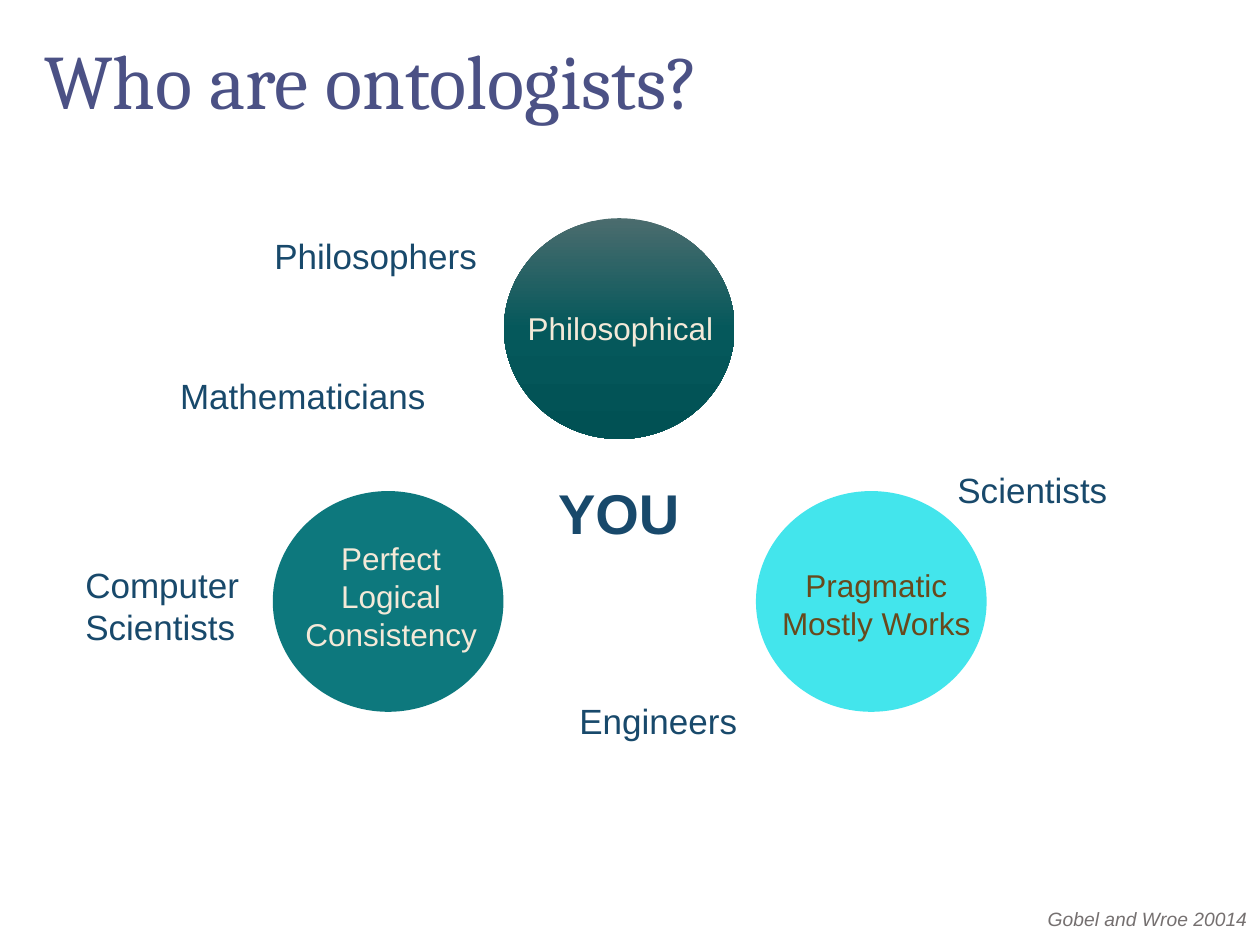
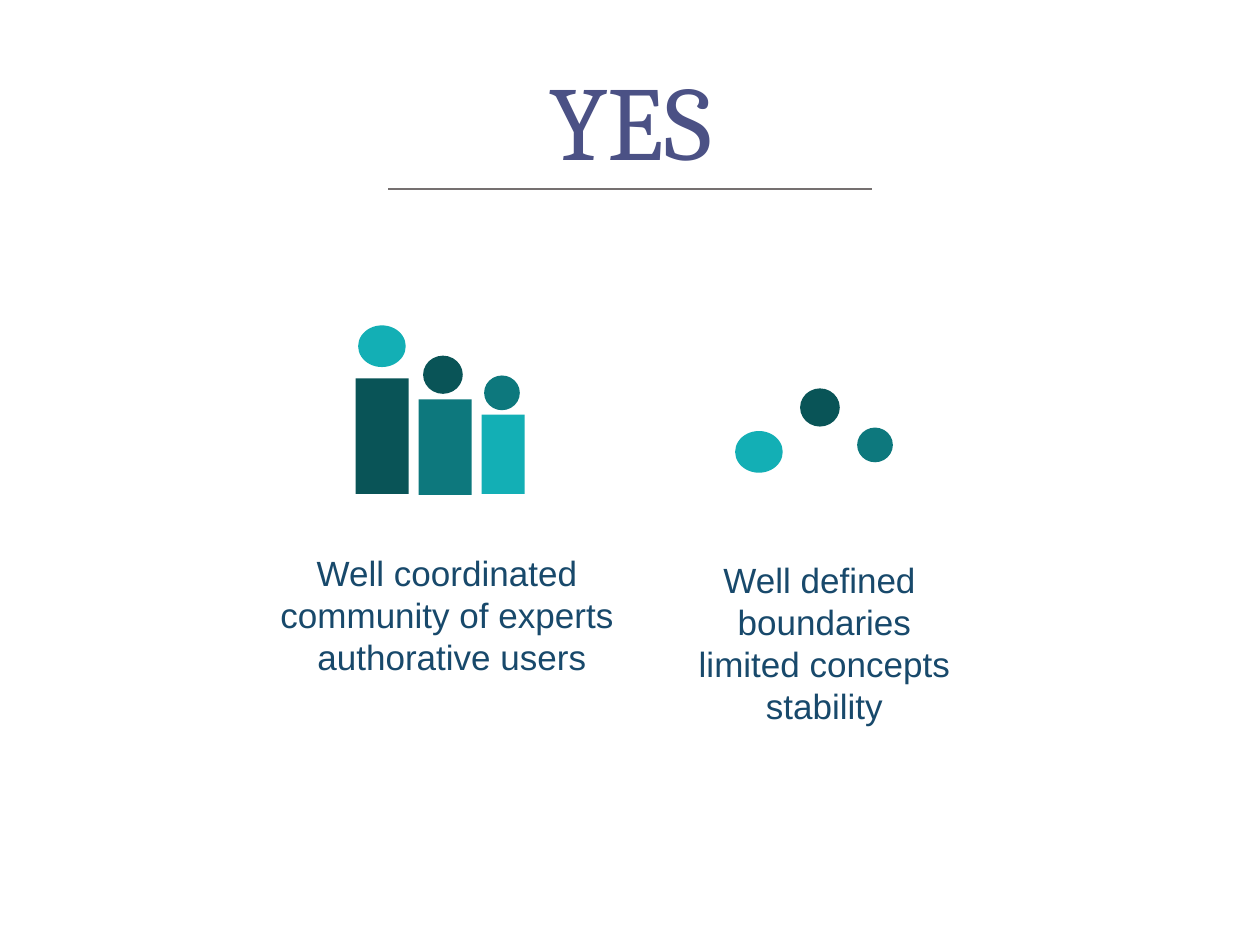
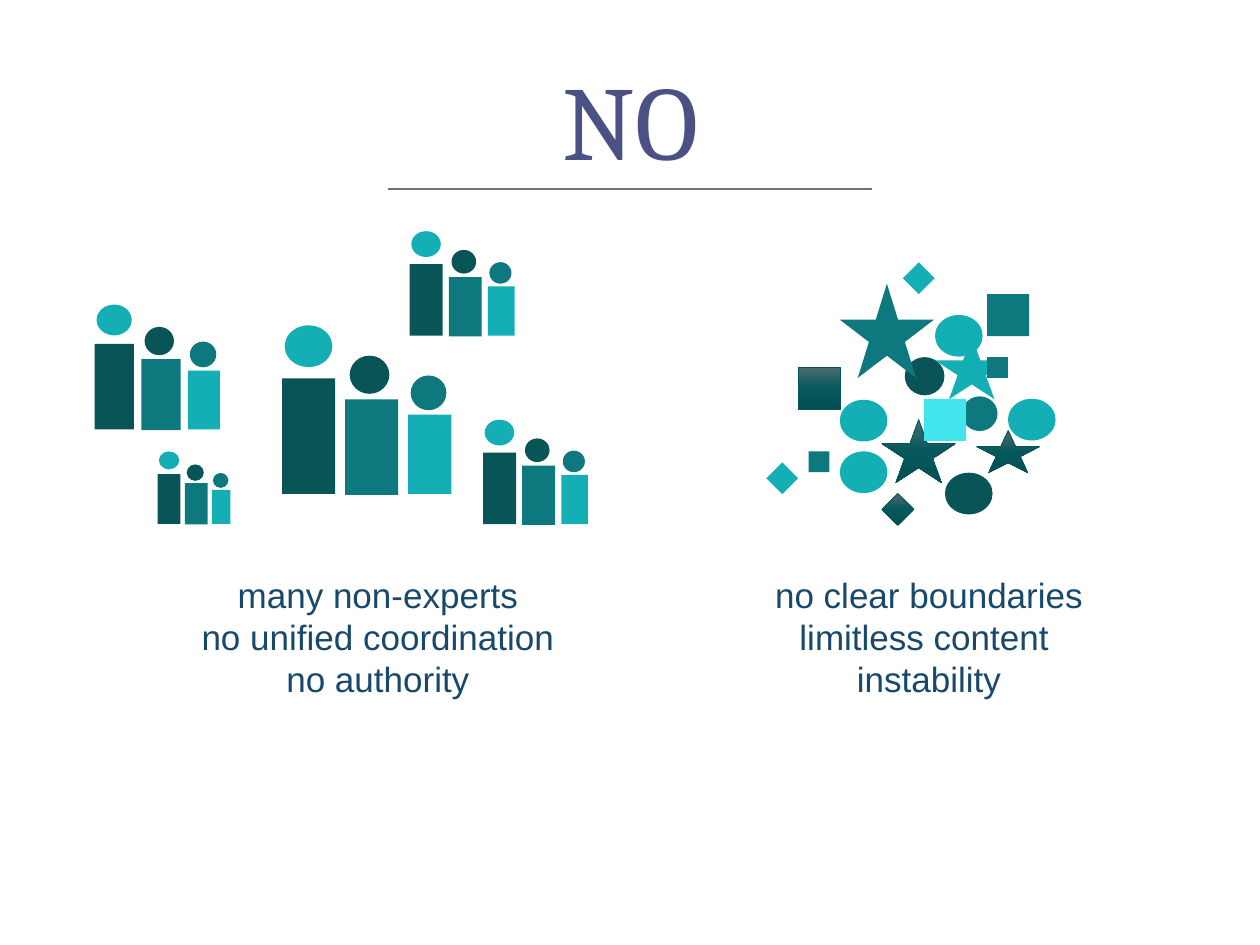
import copy

import pptx
import pptx.dml.color
import pptx.enum.shapes
import pptx.enum.text
import pptx.oxml.ns
import pptx.util
from lxml import etree
from pptx.util import Cm

SHAPE = pptx.enum.shapes.MSO_SHAPE
ALIGN = pptx.enum.text.PP_ALIGN
qn = pptx.oxml.ns.qn

INDIGO, NAVY, GREY = "4B5185", "18496B", "757070"
DARK, TEAL, LIGHT, CYAN = "095457", "0D787D", "13AFB5", "43E5EC"
CREAM, BROWN = "F4E9D8", "68491C"
DEEP_GRADIENT = [(0, "4B6C6E"), (0.5, "05585B"), (1, "015154")]

OVAL, BLOCK, STAR, DIAMOND = SHAPE.OVAL, SHAPE.RECTANGLE, SHAPE.STAR_5_POINT, SHAPE.DIAMOND

APPROACHES = [
    (OVAL, 10.16, 4.4, 4.65, 4.45, DEEP_GRADIENT),
    (OVAL, 5.5, 9.9, 4.65, 4.45, TEAL),
    (OVAL, 15.24, 9.9, 4.65, 4.45, CYAN),
]
APPROACH_NAMES = [
    ("Philosophical", 10.36, 6.1, 4.3, 1.02, CREAM),
    ("Perfect Logical Consistency", 5.66, 10.74, 4.45, 2.57, CREAM),
    ("Pragmatic Mostly Works", 15.44, 11.28, 4.45, 1.8, BROWN),
]
PROFESSIONS = [
    ("Philosophers", 5.28, 4.6, 4.65, 1.12),
    ("Scientists", 19.05, 9.32, 3.6, 1.12),
    ("Engineers", 11.43, 13.97, 3.75, 1.12),
    ("Computer Scientists", 1.47, 11.23, 4.24, 1.96),
    ("Mathematicians", 3.38, 7.42, 6.15, 1.12),
]

TEAM = [
    (BLOCK, 0, 1.07, 1.07, 2.33, DARK),
    (BLOCK, 1.27, 1.49, 1.07, 1.93, TEAL),
    (BLOCK, 2.54, 1.8, 0.87, 1.6, LIGHT),
    (OVAL, 0.05, 0, 0.96, 0.84, LIGHT),
    (OVAL, 1.36, 0.61, 0.8, 0.77, DARK),
    (OVAL, 2.59, 1.01, 0.72, 0.7, TEAL),
]
CONCEPTS = [
    (OVAL, 0, 0.86, 0.96, 0.84, LIGHT),
    (OVAL, 1.31, 0, 0.8, 0.77, DARK),
    (OVAL, 2.46, 0.79, 0.72, 0.7, TEAL),
]
CLUTTER = [
    (STAR, 17.78, 8.46, 1.48, 1.27, DEEP_GRADIENT),
    (STAR, 18.85, 6.78, 1.48, 1.27, LIGHT),
    (STAR, 19.69, 8.68, 1.27, 0.85, DEEP_GRADIENT),
    (STAR, 16.93, 5.72, 1.9, 1.9, TEAL),
    (OVAL, 16.93, 9.1, 0.96, 0.84, LIGHT),
    (OVAL, 18.85, 6.35, 0.96, 0.84, LIGHT),
    (OVAL, 19.05, 9.53, 0.96, 0.84, DARK),
    (BLOCK, 16.09, 7.41, 0.85, 0.85, DEEP_GRADIENT),
    (OVAL, 20.32, 8.04, 0.96, 0.84, LIGHT),
    (BLOCK, 18.63, 8.04, 0.85, 0.85, CYAN),
    (BLOCK, 19.9, 5.93, 0.85, 0.85, TEAL),
    (BLOCK, 16.3, 9.1, 0.42, 0.42, TEAL),
    (DIAMOND, 17.78, 9.95, 0.64, 0.64, DEEP_GRADIENT),
    (BLOCK, 19.9, 7.2, 0.42, 0.42, TEAL),
    (DIAMOND, 18.2, 5.29, 0.64, 0.64, LIGHT),
    (DIAMOND, 15.45, 9.32, 0.64, 0.64, LIGHT),
]

VERDICTS = [
    {
        "title": "YES",
        "teams": [(7.17, 6.56, 1)],
        "concepts": (14.82, 7.83),
        "clutter": [],
        "captions": [
            (["Well coordinated ", "community of experts ", "authorative users"],
             4.45, 11, 9.32, 2.82),
            (["Well defined ", "boundaries", "limited concepts", "stability"],
             12.49, 11.13, 8.26, 4.52),
        ],
    },
    {
        "title": "NO",
        "teams": [(5.69, 6.56, 1), (1.91, 6.14, 0.74), (3.18, 9.1, 0.43),
                  (8.26, 4.66, 0.62), (9.74, 8.46, 0.62)],
        "concepts": (16.93, 7.2),
        "clutter": CLUTTER,
        "captions": [
            (["many non-experts", "no unified coordination", "no authority"],
             2.96, 11.43, 9.32, 3.68),
            (["no clear boundaries", "limitless content ", "instability"],
             14.6, 11.43, 8.26, 3.68),
        ],
    },
]


def rgb(value):
    return pptx.dml.color.RGBColor.from_string(value)


def place(part, left, top, width, height):
    part.left, part.top, part.width, part.height = Cm(left), Cm(top), Cm(width), Cm(height)


def write(frame, lines, size, color, font="Arial", align=ALIGN.LEFT,
          spacing=1, bold=False, italic=False):
    frame.word_wrap = True
    frame.auto_size = pptx.enum.text.MSO_AUTO_SIZE.NONE
    for index, line in enumerate(lines):
        paragraph = frame.add_paragraph() if index else frame.paragraphs[0]
        paragraph.alignment = align
        paragraph.line_spacing = spacing
        paragraph.space_before = pptx.util.Pt(0)
        run = paragraph.add_run()
        run.text = line
        run.font.name, run.font.size = font, pptx.util.Pt(size)
        run.font.bold, run.font.italic = bold, italic
        run.font.color.rgb = rgb(color)


def add_label(slide, lines, left, top, width, height, size, color, **style):
    label = slide.shapes.add_textbox(Cm(left), Cm(top), Cm(width), Cm(height))
    write(label.text_frame, lines, size, color, **style)


def set_title(slide, text, top, size, align):
    title = slide.shapes.title
    place(title, 0.64, top, 24.14, 2.54)
    title.text_frame.vertical_anchor = pptx.enum.text.MSO_ANCHOR.MIDDLE
    write(title.text_frame, [text], size, INDIGO, "Cambria", align, 0.9)


def fill_gradient(fill, shape, stops):
    fill.gradient()
    fill.gradient_angle = 270
    stop_list = shape._element.spPr.find(qn("a:gradFill")).find(qn("a:gsLst"))
    stop_list.append(copy.deepcopy(stop_list[0]))
    for stop, (position, color) in zip(fill.gradient_stops, stops):
        stop.color.rgb = rgb(color)
        stop.position = position


def draw(shapes, parts, left=0, top=0, scale=1):
    for kind, x, y, width, height, color in parts:
        shape = shapes.add_shape(kind, Cm(left + x * scale), Cm(top + y * scale),
                                 Cm(width * scale), Cm(height * scale))
        shape.shadow.inherit = False
        shape.line.fill.background()
        if color is DEEP_GRADIENT:
            fill_gradient(shape.fill, shape, color)
            if kind is not OVAL:
                shape.line.color.rgb = rgb(DARK)
                shape.line.width = pptx.util.Pt(0.5)
        else:
            shape.fill.solid()
            shape.fill.fore_color.rgb = rgb(color)


def add_title_rule(slide):
    rule = slide.shapes.add_connector(pptx.enum.shapes.MSO_CONNECTOR.STRAIGHT,
                                      Cm(7.83), Cm(3.81), Cm(17.57), Cm(3.81))
    rule.line.color.rgb = rgb(GREY)
    rule.line.width = pptx.util.Pt(1)
    etree.SubElement(rule._element.spPr, qn("a:effectLst"))


def add_credit(slide, text):
    credit = slide.placeholders[1]
    place(credit, 20.52, 18.21, 4.88, 0.84)
    properties = credit.text_frame.paragraphs[0]._p.get_or_add_pPr()
    properties.set("marL", "0")
    properties.set("indent", "0")
    etree.SubElement(properties, qn("a:buNone"))
    write(credit.text_frame, [text], 11, GREY, align=ALIGN.RIGHT, spacing=0.9, italic=True)


def build_ontologists(deck):
    slide = deck.slides.add_slide(deck.slide_layouts[1])
    set_title(slide, "Who are ontologists?", 0.43, 44, ALIGN.LEFT)
    add_credit(slide, "Gobel and Wroe 20014")
    draw(slide.shapes, APPROACHES)
    for name, left, top, width, height, color in APPROACH_NAMES:
        add_label(slide, [name], left, top, width, height, 18, color, align=ALIGN.CENTER)
    add_label(slide, ["YOU"], 11, 9.53, 3.02, 1.63, 32, NAVY, bold=True)
    for name, *box in PROFESSIONS:
        add_label(slide, [name], *box, 20, NAVY)


def build_verdict(deck, verdict):
    slide = deck.slides.add_slide(deck.slide_layouts[5])
    set_title(slide, verdict["title"], 1.27, 60, ALIGN.CENTER)
    draw(slide.shapes, CONCEPTS, *verdict["concepts"])
    add_title_rule(slide)
    for team in verdict["teams"]:
        draw(slide.shapes.add_group_shape().shapes, TEAM, *team)
    for lines, *box in verdict["captions"]:
        add_label(slide, lines, *box, 20, NAVY, align=ALIGN.CENTER)
    draw(slide.shapes, verdict["clutter"])


def main():
    deck = pptx.Presentation()
    deck.slide_width, deck.slide_height = Cm(25.4), Cm(19.05)
    build_ontologists(deck)
    for verdict in VERDICTS:
        build_verdict(deck, verdict)
    deck.save("out.pptx")


if __name__ == "__main__":
    main()
